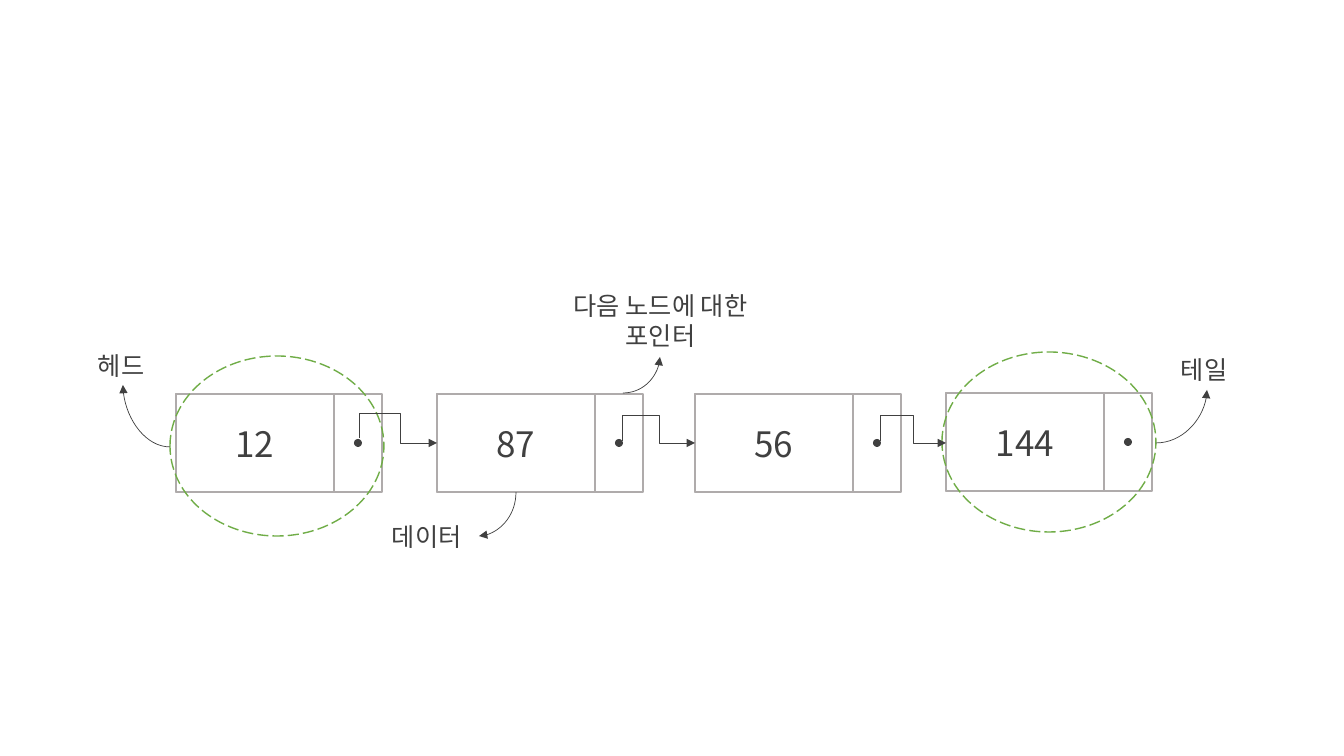
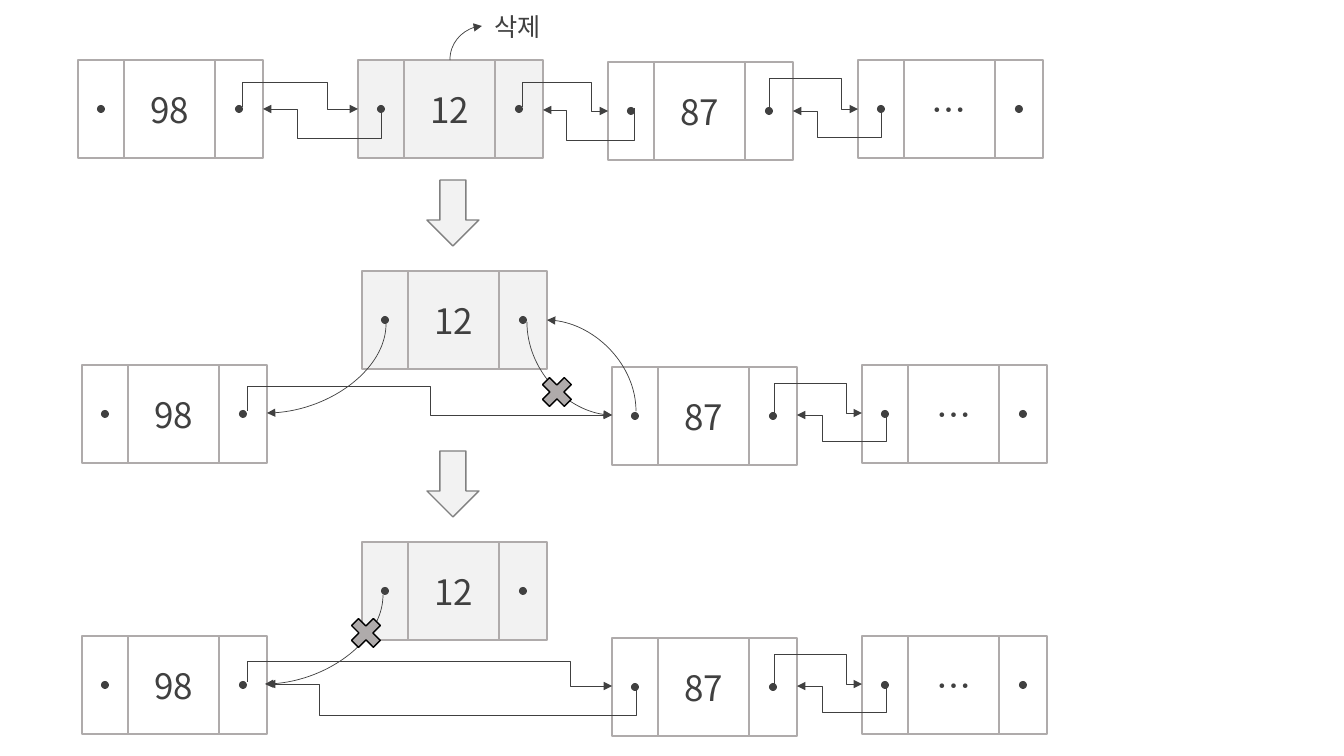
"""Build two slides that explain linked lists and the removal of a node."""
import dataclasses

import pptx
import pptx.dml.color
import pptx.enum.dml
import pptx.enum.shapes
import pptx.enum.text
import pptx.oxml.ns
import pptx.util
from lxml import etree

SHAPE = pptx.enum.shapes.MSO_SHAPE
ALIGN = pptx.enum.text.PP_ALIGN
ANCHOR = pptx.enum.text.MSO_ANCHOR
qn = pptx.oxml.ns.qn


@dataclasses.dataclass(frozen=True)
class Theme:
    font: str = "Noto Sans CJK KR"
    ink: str = "404040"
    paper: str = "FFFFFF"
    shade: str = "F2F2F2"
    edge: str = "AFABAB"
    ring: str = "70AD47"
    arrow: str = "808080"
    black: str = "000000"
    label: int = 18
    value: int = 25
    thin: float = 0.5
    line: float = 1


THEME = Theme()
WIDE, HIGH = 1344, 756
NODE_H, DOT = 98, 8
STEP = 271

SINGLE = [("12", 176, 394), ("87", 437, 394), ("56", 695, 394), ("144", 946, 393)]
SINGLE_BENTS = [
    (359, 438, 437, 443, 400, 413),
    (622, 441, 695, 443, 659, 415),
    (880, 441, 946, 443, 913, 415),
]
SINGLE_CURVES = [
    (170, 447, 123, 385, False),
    (516, 492, 479, 536, True),
    (623, 393, 660, 357, False),
    (1156, 443, 1207, 390, False),
]
RINGS = [(170, 356, 214, 180), (942, 352, 214, 180)]
SINGLE_LABELS = [
    ("헤드", (88, 345, 72, 40), ALIGN.LEFT),
    ("데이터", (382, 516, 97, 40), ALIGN.LEFT),
    ("다음 노드에 대한\n포인터", (552, 285, 217, 72), ALIGN.CENTER),
    ("테일", (1171, 349, 72, 40), ALIGN.LEFT),
]

FULL = [("98", 78, 60), ("12", 358, 60), ("87", 608, 62), ("…", 858, 60)]
SPLIT = [("98", 82, 365), ("12", 362, 271), ("87", 612, 367), ("…", 862, 365)]
GONE = "12"
FULL_BENTS = [
    (242, 107, 358, 109, 327, 82),
    (381, 113, 263, 109, 297, 138),
    (522, 107, 608, 111, 591, 82),
    (634, 108, 543, 110, 566, 141),
    (769, 115, 858, 109, 841, 78),
    (881, 113, 793, 111, 817, 138),
]
SPLIT_BENTS = [
    (774, 419, 862, 413, 846, 383),
    (886, 417, 797, 415, 822, 442),
]
CUT_BENTS = [
    (247, 411, 612, 415, 430, 386),
    (247, 682, 612, 686, 570, 661),
    (636, 690, 267, 684, 319, 715),
]
CUT_CURVES = [
    (450, 60, 482, 26, True),
    (386, 324, 267, 413, True),
    (636, 411, 547, 320, True),
    (527, 322, 612, 415, True),
    (383, 595, 265, 684, True),
]
CROSSES = [(536, 371, 42, 42), (345, 612, 42, 42)]
DOWN = (427, 180, 52, 66)
CUT_LABELS = [("삭제", (482, 6, 72, 40), ALIGN.CENTER)]


def px(num):
    """Turn pixels into EMU."""
    return pptx.util.Emu(round(num * 914400 / 100.8))


def rgb(code):
    """Turn a hex code into a colour."""
    return pptx.dml.color.RGBColor.from_string(code)


def write(frame, text, size=THEME.label, color=THEME.ink, align=ALIGN.CENTER):
    """Put formatted text in a frame, one paragraph a line."""
    frame.text = text
    for para in frame.paragraphs:
        para.alignment = align
        for run in para.runs:
            font = run.font
            font.name, font.size = THEME.font, pptx.util.Pt(size)
            font.color.rgb = rgb(color)
            east = etree.SubElement(run._r.get_or_add_rPr(), qn("a:ea"))
            east.set("typeface", THEME.font)


def draw(shapes, kind, box, fill=None, edge=None, dash=None):
    """Add a preset shape with the given fill and outline."""
    shape = shapes.add_shape(kind, *map(px, box))
    shape.shadow.inherit = False
    if fill:
        shape.fill.solid()
        shape.fill.fore_color.rgb = rgb(fill)
    else:
        shape.fill.background()
    if edge:
        shape.line.color.rgb = rgb(edge)
        shape.line.width = pptx.util.Pt(THEME.line)
        if dash:
            shape.line.dash_style = dash
    else:
        shape.line.fill.background()
    return shape


def label(shapes, text, box, align):
    """Add a text box that does not wrap."""
    frame = shapes.add_textbox(*map(px, box)).text_frame
    frame.word_wrap = False
    frame.auto_size = pptx.enum.text.MSO_AUTO_SIZE.SHAPE_TO_FIT_TEXT
    write(frame, text, align=align)


def node(shapes, text, left, top, wide, inset, cell, dots, fill=THEME.paper):
    """Add a grouped node: a frame, its value and its pointer dots."""
    group = shapes.add_group_shape().shapes
    draw(group, SHAPE.RECTANGLE, (left, top, wide, NODE_H), fill, THEME.edge)
    data = draw(group, SHAPE.RECTANGLE, (left + inset, top, cell, NODE_H), fill, THEME.edge)
    data.text_frame.vertical_anchor = ANCHOR.MIDDLE
    write(data.text_frame, text, size=THEME.value)
    for mid in dots:
        box = (left + mid - DOT / 2, top + (NODE_H - DOT) / 2, DOT, DOT)
        draw(group, SHAPE.FLOWCHART_CONNECTOR, box, THEME.ink)


def link(shapes, preset, ends, upright=True, bends=()):
    """Add an arrow; an upright one leaves vertically and arrives sideways."""
    x1, y1, x2, y2 = ends
    dx, dy = x2 - x1, y2 - y1
    kind = pptx.enum.shapes.MSO_CONNECTOR.ELBOW
    line = shapes.add_connector(kind, *map(px, ends))
    props = line._element.spPr
    if upright:
        wide, high = abs(dy), abs(dx)
        line.left, line.top = px((x1 + x2 - wide) / 2), px((y1 + y2 - high) / 2)
        line.width, line.height = px(wide), px(high)
        frame = props.find(qn("a:xfrm"))
        frame.set("rot", str((270 if dx > 0 else 90) * 60000))
        frame.set("flipH", str(int((dx > 0) == (dy > 0))))
        frame.set("flipV", "0")
    shape = props.find(qn("a:prstGeom"))
    shape.set("prst", preset)
    guides = shape.find(qn("a:avLst"))
    if guides is None:
        guides = etree.SubElement(shape, qn("a:avLst"))
    for count, bend in enumerate(bends, 1):
        guide = etree.SubElement(guides, qn("a:gd"))
        guide.set("name", f"adj{count}")
        guide.set("fmla", f"val {round(bend * 100000)}")
    line.line.color.rgb = rgb(THEME.ink)
    line.line.width = pptx.util.Pt(THEME.thin)
    etree.SubElement(props.find(qn("a:ln")), qn("a:tailEnd")).set("type", "triangle")
    etree.SubElement(props, qn("a:effectLst"))


def bent(shapes, x1, y1, x2, y2, turn, level):
    """Add an arrow that runs along a level and turns at a given column."""
    bends = ((level - y1) / (y2 - y1), (turn - x1) / (x2 - x1))
    link(shapes, "bentConnector4", (x1, y1, x2, y2), bends=bends)


def join(shapes, bents, curves, labels):
    """Add the arrows and labels of a slide."""
    for item in bents:
        bent(shapes, *item)
    for *ends, upright in curves:
        link(shapes, "curvedConnector2", ends, upright)
    for item in labels:
        label(shapes, *item)


def lower(items, shift, rows):
    """Move the given y places of each item down."""
    return [tuple(v + shift if i in rows else v for i, v in enumerate(item))
            for item in items]


def single(shapes):
    """Draw the singly linked list."""
    for item in SINGLE:
        node(shapes, *item, wide=206, inset=0, cell=158, dots=(182,))
    for box in RINGS:
        draw(shapes, SHAPE.FLOWCHART_CONNECTOR, box, edge=THEME.ring,
             dash=pptx.enum.dml.MSO_LINE.LONG_DASH)
    join(shapes, SINGLE_BENTS, SINGLE_CURVES, SINGLE_LABELS)


def double(shapes):
    """Draw the three steps of removal from a doubly linked list."""
    for item in FULL + SPLIT + lower(SPLIT, STEP, (2,)):
        fill = THEME.shade if item[0] == GONE else THEME.paper
        node(shapes, *item, wide=185, inset=46, cell=91, dots=(23, 161), fill=fill)
    for box in [DOWN] + lower([DOWN], STEP, (1,)):
        draw(shapes, SHAPE.DOWN_ARROW, box, THEME.shade, THEME.arrow)
    bents = FULL_BENTS + SPLIT_BENTS + lower(SPLIT_BENTS, STEP, (1, 3, 5)) + CUT_BENTS
    join(shapes, bents, CUT_CURVES, CUT_LABELS)
    for box in CROSSES:
        draw(shapes, SHAPE.MATH_MULTIPLY, box, THEME.edge, THEME.black)


deck = pptx.Presentation()
deck.slide_width, deck.slide_height = px(WIDE), px(HIGH)
for paint in (single, double):
    paint(deck.slides.add_slide(deck.slide_layouts[6]).shapes)
deck.save("out.pptx")
